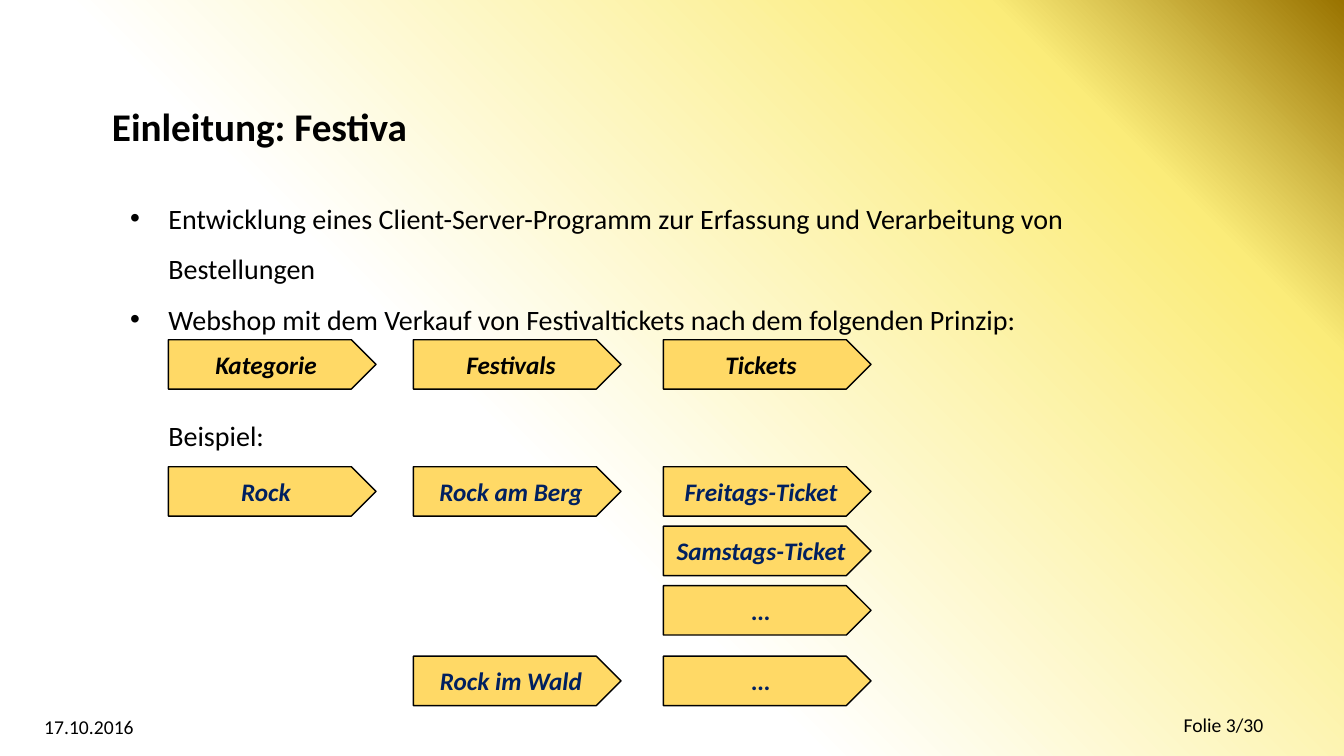
from dataclasses import dataclass

from lxml import etree
from pptx import Presentation
from pptx.dml.color import RGBColor
from pptx.enum import shapes, text
from pptx.oxml import ns
from pptx.util import Inches, Pt


@dataclass(frozen=True)
class Theme:
    face: str = "Calibri"
    black: str = "000000"
    navy: str = "002060"
    gold: str = "FFD966"
    stops: tuple = ((39, "FFFFFF"), (83, "FBEC79"), (100, "997300"))
    title: int = 28
    body: int = 20
    label: int = 18
    foot: int = 14


THEME = Theme()
COLS = (1.67, 4.1, 6.58)
ROWS = (3.37, 4.63, 5.22, 5.81, 6.51)
# Each row lists its labels by column
FLOW = (
    ("Kategorie", "Festivals", "Tickets"),
    ("Rock", "Rock am Berg", "Freitags-Ticket"),
    (None, None, "Samstags-Ticket"),
    (None, None, "…"),
    (None, "Rock im Wald", "…"),
)


def style(para, size, color=THEME.black, bold=False, italic=False):
    font = para.font
    font.name, font.size = THEME.face, Pt(size)
    font.bold, font.italic = bold, italic
    font.color.rgb = RGBColor.from_string(color)


def place(shape, box):
    shape.left, shape.top, shape.width, shape.height = map(Inches, box)
    frame = shape.text_frame
    frame.word_wrap = True
    frame.auto_size = text.MSO_AUTO_SIZE.NONE
    frame.vertical_anchor = text.MSO_ANCHOR.TOP
    return frame


# Background: radial gradient from the lower left corner
def backdrop(slide):
    slide.background.fill.solid()
    props = slide.element.find(".//" + ns.qn("p:bgPr"))
    stops = "".join(
        f'<a:gs pos="{pos * 1000}"><a:srgbClr val="{color}"/></a:gs>'
        for pos, color in THEME.stops)
    grad = etree.fromstring(
        f'<a:gradFill {ns.nsdecls("a")} rotWithShape="1"><a:gsLst>{stops}</a:gsLst>'
        '<a:path path="circle"><a:fillToRect t="100000" r="100000"/></a:path>'
        '</a:gradFill>')
    props.replace(props[0], grad)


def heading(slide, box):
    frame = place(slide.shapes.title, box)
    frame.text = "Einleitung: Festiva"
    para = frame.paragraphs[0]
    para.alignment = text.PP_ALIGN.LEFT
    style(para, THEME.title, bold=True)


# Two bullets and the line that leads into the example
def points(slide, box):
    frame = place(slide.placeholders[1], box)
    items = (
        ("Entwicklung eines Client-Server-Programm zur Erfassung und "
         "Verarbeitung von Bestellungen", True),
        ("Webshop mit dem Verkauf von Festivaltickets nach dem folgenden "
         "Prinzip:", True),
        ("Beispiel:", False),
    )
    frame.text = "\n".join(words for words, _ in items)
    for para, (_, dot) in zip(frame.paragraphs, items):
        para.line_spacing = 1.5 if dot else 1.0
        para.space_before = Pt(0 if dot else 59)
        props = para._p.get_or_add_pPr()
        props.set("marL", str(Inches(0.38)))
        props.set("indent", str(Inches(-0.38 if dot else 0)))
        if dot:
            etree.SubElement(props, ns.qn("a:buChar")).set("char", "•")
        else:
            etree.SubElement(props, ns.qn("a:buNone"))
        style(para, THEME.body)


def arrow(slide, box, words, color):
    shape = slide.shapes.add_shape(
        shapes.MSO_SHAPE.PENTAGON, *map(Inches, box))
    shape.shadow.inherit = False
    shape.fill.solid()
    shape.fill.fore_color.rgb = RGBColor.from_string(THEME.gold)
    shape.line.color.rgb = RGBColor.from_string(THEME.black)
    shape.line.width = Pt(1)
    frame = shape.text_frame
    frame.margin_left = frame.margin_right = 0
    frame.margin_top = frame.margin_bottom = 0
    frame.word_wrap = False
    frame.vertical_anchor = text.MSO_ANCHOR.MIDDLE
    frame.text = words
    para = frame.paragraphs[0]
    para.alignment = text.PP_ALIGN.CENTER
    style(para, THEME.label, color, bold=True, italic=True)


# Header row in black, example rows in navy
def flow(slide):
    for row, (top, names) in enumerate(zip(ROWS, FLOW)):
        color = THEME.navy if row else THEME.black
        for left, words in zip(COLS, names):
            if words:
                arrow(slide, (left, top, 2.06, 0.49), words, color)


def note(slide, box, words):
    frame = place(slide.shapes.add_textbox(0, 0, 0, 0), box)
    frame.text = words
    style(frame.paragraphs[0], THEME.foot)


def main():
    deck = Presentation()
    deck.slide_width, deck.slide_height = Inches(13.33), Inches(7.5)
    slide = deck.slides.add_slide(deck.slide_layouts[1])
    backdrop(slide)
    heading(slide, (1.01, 0.96, 7.36, 0.57))
    points(slide, (1.19, 1.78, 10.79, 2.8))
    flow(slide)
    # Footer
    note(slide, (0.34, 7.04, 1.92, 0.34), "17.10.2016")
    note(slide, (11.64, 7.02, 1.61, 0.34), "Folie 3/30")
    deck.save("out.pptx")


if __name__ == "__main__":
    main()
